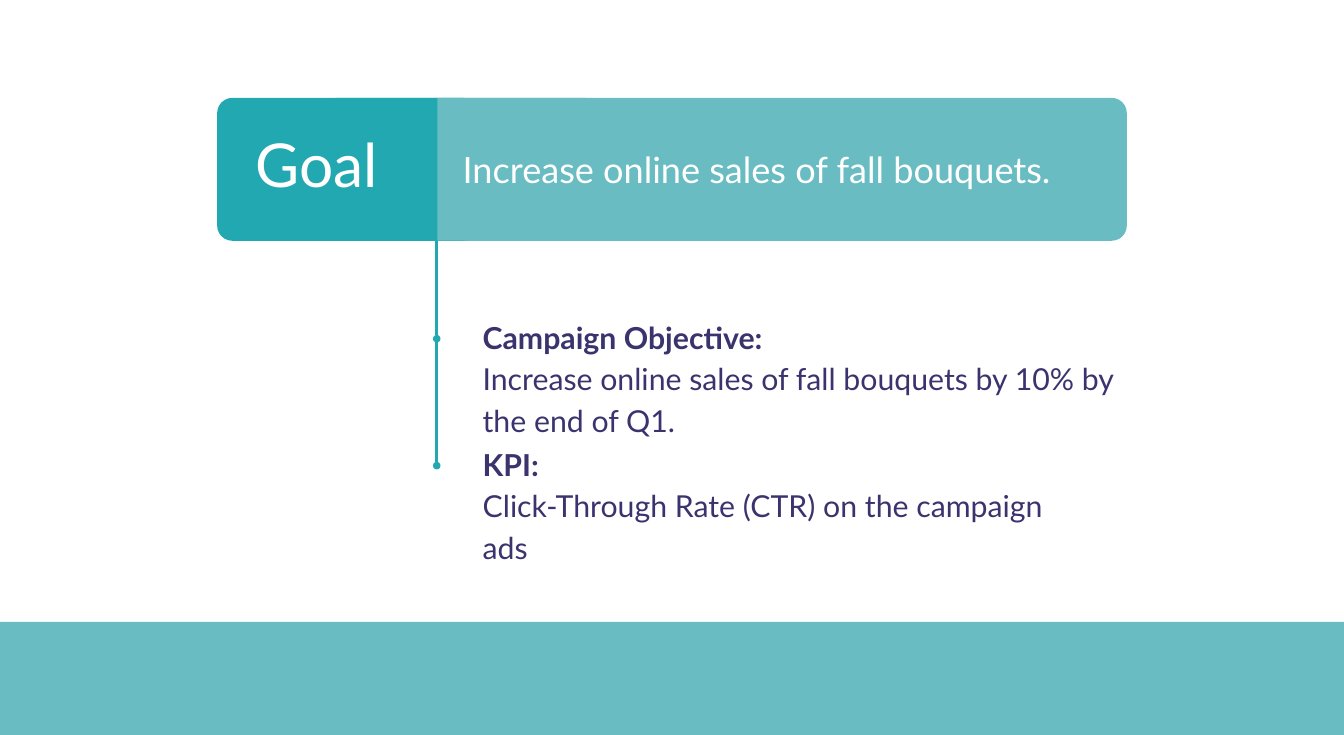
from dataclasses import dataclass

from lxml import etree
from pptx import Presentation
from pptx.dml.color import RGBColor
from pptx.enum.shapes import MSO_CONNECTOR, MSO_SHAPE
from pptx.enum.text import MSO_ANCHOR, MSO_AUTO_SIZE, PP_ALIGN
from pptx.oxml.ns import qn
from pptx.util import Cm, Pt

RECT = MSO_SHAPE.RECTANGLE
ROUND_RECT = MSO_SHAPE.ROUNDED_RECTANGLE
STRAIGHT = MSO_CONNECTOR.STRAIGHT
MIDDLE = MSO_ANCHOR.MIDDLE
NO_FIT = MSO_AUTO_SIZE.NONE
LEFT = PP_ALIGN.LEFT


@dataclass(frozen=True)
class Theme:
    font: str = "Lato"
    light: RGBColor = RGBColor(0x69, 0xBC, 0xC1)
    accent: RGBColor = RGBColor(0x21, 0xA8, 0xB0)
    ink: RGBColor = RGBColor(0x3B, 0x33, 0x6E)
    white: RGBColor = RGBColor(0xFF, 0xFF, 0xFF)
    title: Pt = Pt(72)
    goal: Pt = Pt(43)
    body: Pt = Pt(36)
    stem: Pt = Pt(3)


THEME = Theme()
SLIDE_W, SLIDE_H = 56.44, 30.86
BAND_H = 4.75
STEP = 5.33
NOTES = [
    ("Campaign Objective:",
     "Increase online sales of fall bouquets by 10% by the end of Q1.", 27.64),
    ("KPI:", "Click-Through Rate (CTR) on the campaign ads", 26.01),
]


def add_block(slide, kind, x, y, w, h, color):
    sp = slide.shapes.add_shape(kind, Cm(x), Cm(y), Cm(w), Cm(h))
    sp.shadow.inherit = False
    sp.fill.solid()
    sp.fill.fore_color.rgb = color
    sp.line.fill.background()
    if kind == ROUND_RECT:
        sp.adjustments[0] = 0.106
    return sp


def set_up_frame(tf, inset):
    tf.word_wrap = True
    tf.auto_size = NO_FIT
    tf.vertical_anchor = MIDDLE
    tf.margin_left = tf.margin_right = Cm(inset)
    tf.margin_top = tf.margin_bottom = Cm(inset)


def add_textbox(slide, x, y, w, h):
    tf = slide.shapes.add_textbox(Cm(x), Cm(y), Cm(w), Cm(h)).text_frame
    set_up_frame(tf, 0.56)
    return tf


def write(p, text, size, color, bold=False):
    p.text = text
    p.alignment = LEFT
    p.font.name = THEME.font
    p.font.size = size
    p.font.bold = bold
    p.font.color.rgb = color


def add_stem(slide, x, y, length):
    """Draw a vertical line that ends in a dot."""
    line = slide.shapes.add_connector(STRAIGHT, Cm(x), Cm(y), Cm(x), Cm(y + length))
    line.line.color.rgb = THEME.accent
    line.line.width = THEME.stem
    sp_pr = line.element.spPr
    etree.SubElement(sp_pr.find(qn("a:ln")), qn("a:tailEnd"), type="oval")
    etree.SubElement(sp_pr, qn("a:effectLst"))


def add_timeline(slide, x, y):
    """Hang the notes on a line, each heading level with its dot."""
    for i, (heading, detail, width) in enumerate(NOTES):
        top = y + i * STEP
        add_stem(slide, x, top, STEP)
        tf = add_textbox(slide, x + 1.37, top + STEP - 1.09, width, STEP)
        write(tf.paragraphs[0], heading, THEME.body, THEME.ink, bold=True)
        write(tf.add_paragraph(), detail, THEME.body, THEME.ink)
        for p in tf.paragraphs:
            p.line_spacing = 1.15


def add_goal_banner(slide, x, y, w, h):
    split = 9.25
    add_block(slide, ROUND_RECT, x + 4.37, y, w - 4.37, h, THEME.light)
    add_block(slide, ROUND_RECT, x, y, 10.95, h, THEME.accent)
    add_block(slide, RECT, x + split, y, 6.25, h, THEME.light)

    tf = add_textbox(slide, x + split + 0.5, y + 0.23, 27.99, 5.49)
    write(tf.paragraphs[0], "Increase online sales of fall bouquets.",
          THEME.goal, THEME.white)

    title = slide.shapes.title
    title.left, title.top = Cm(x + 1.37), Cm(y + 0.05)
    title.width, title.height = Cm(6.65), Cm(5.41)
    set_up_frame(title.text_frame, 0.25)
    write(title.text_frame.paragraphs[0], "Goal", THEME.title, THEME.white)
    slide.shapes.element.append(title.element)  # bring the title to the front


def main():
    prs = Presentation()
    prs.slide_width, prs.slide_height = Cm(SLIDE_W), Cm(SLIDE_H)
    slide = prs.slides.add_slide(prs.slide_layouts.get_by_name("Title Only"))
    add_block(slide, RECT, 0, SLIDE_H - BAND_H, SLIDE_W, BAND_H, THEME.light)
    add_timeline(slide, 18.34, 8.89)
    add_goal_banner(slide, 9.12, 4.11, 38.2, 6)
    prs.save("out.pptx")


if __name__ == "__main__":
    main()
